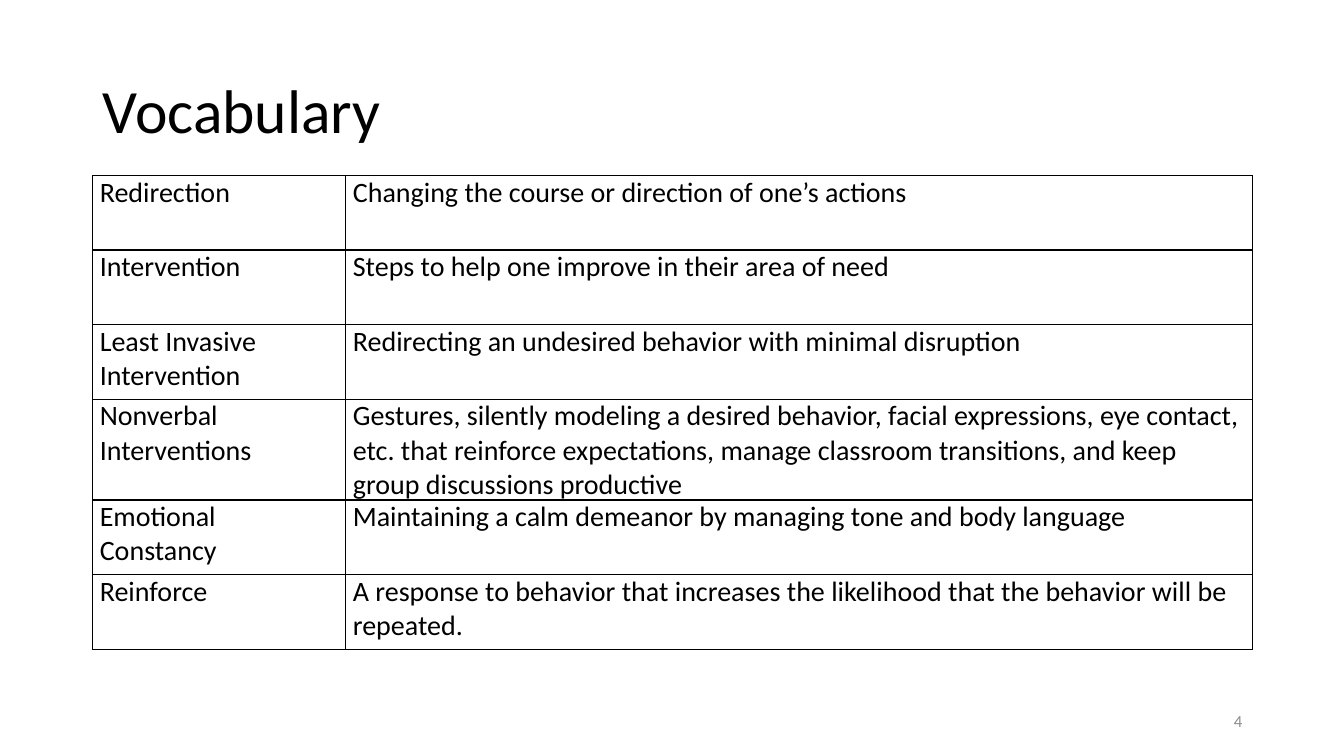
from dataclasses import dataclass

from lxml.etree import SubElement
from pptx import Presentation
from pptx.dml.color import RGBColor
from pptx.enum.text import MSO_ANCHOR as Anchor, PP_ALIGN as Align
from pptx.oxml.ns import qn
from pptx.util import Inches, Pt


@dataclass(frozen=True)
class Theme:
    font: str = "Calibri"
    ink: str = "000000"
    muted: str = "8C8C8C"
    title_size: int = 44
    body_size: int = 20
    number_size: int = 12
    border_width: int = 1


VOCABULARY = [
    ("Redirection", "Changing the course or direction of one’s actions"),
    ("Intervention", "Steps to help one improve in their area of need"),
    ("Least Invasive Intervention",
     "Redirecting an undesired behavior with minimal disruption"),
    ("Nonverbal Interventions",
     "Gestures, silently modeling a desired behavior, facial expressions, "
     "eye contact, etc. that reinforce expectations, manage classroom "
     "transitions, and keep group discussions productive"),
    ("Emotional Constancy",
     "Maintaining a calm demeanor by managing tone and body language"),
    ("Reinforce",
     "A response to behavior that increases the likelihood that the "
     "behavior will be repeated."),
]
COLUMN_WIDTHS = [2.51, 8.99]
ROW_HEIGHTS = [0.74, 0.74, 0.74, 0.84, 0.74, 0.74]


class SlideBuilder:
    def __init__(self, page, theme):
        self.page = page
        self.theme = theme

    def add_span(self, para, words, size, color):
        span = para.add_run()
        span.text = words
        span.font.name = self.theme.font
        span.font.size = Pt(size)
        span.font.color.rgb = RGBColor.from_string(color)

    def add_text(self, place, words, size, color, align=Align.LEFT, spacing=1.0):
        box = self.page.shapes.add_textbox(*map(Inches, place))
        frame = box.text_frame
        frame.word_wrap = True
        frame.vertical_anchor = Anchor.MIDDLE
        para = frame.paragraphs[0]
        para.alignment = align
        para.line_spacing = spacing
        self.add_span(para, words, size, color)

    def add_borders(self, cell):
        properties = cell._tc.get_or_add_tcPr()
        for side in ("lnL", "lnR", "lnT", "lnB"):
            line = SubElement(properties, qn(f"a:{side}"),
                              w=str(Pt(self.theme.border_width)))
            fill = SubElement(line, qn("a:solidFill"))
            SubElement(fill, qn("a:srgbClr"), val=self.theme.ink)

    def fill_cell(self, cell, words):
        cell.margin_left = cell.margin_right = Inches(0.07)
        cell.margin_top = cell.margin_bottom = 0
        cell.vertical_anchor = Anchor.TOP
        # Borders come before the fill in the cell's properties
        self.add_borders(cell)
        cell.fill.background()
        para = cell.text_frame.paragraphs[0]
        para.space_after = Pt(6)
        self.add_span(para, words, self.theme.body_size, self.theme.ink)

    def add_table(self, left, top, widths, heights, entries):
        place = (left, top, sum(widths), sum(heights))
        table = self.page.shapes.add_table(
            len(heights), len(widths), *map(Inches, place)).table
        table.first_row = table.horz_banding = False
        for column, width in zip(table.columns, widths):
            column.width = Inches(width)
        for row, height, entry in zip(table.rows, heights, entries):
            row.height = Inches(height)
            for cell, words in zip(row.cells, entry):
                self.fill_cell(cell, words)


def main():
    deck = Presentation()
    deck.slide_width, deck.slide_height = Inches(13.33), Inches(7.5)
    page = deck.slides.add_slide(deck.slide_layouts[6])
    theme = Theme()
    builder = SlideBuilder(page, theme)

    # Title
    builder.add_text((0.92, 0.4, 11.5, 1.45), "Vocabulary",
                     theme.title_size, theme.ink, spacing=0.9)
    # Terms and their meanings
    builder.add_table(0.92, 1.74, COLUMN_WIDTHS, ROW_HEIGHTS, VOCABULARY)
    # Slide number
    builder.add_text((9.42, 6.95, 3, 0.4), "4",
                     theme.number_size, theme.muted, align=Align.RIGHT)

    deck.save("out.pptx")


if __name__ == "__main__":
    main()
